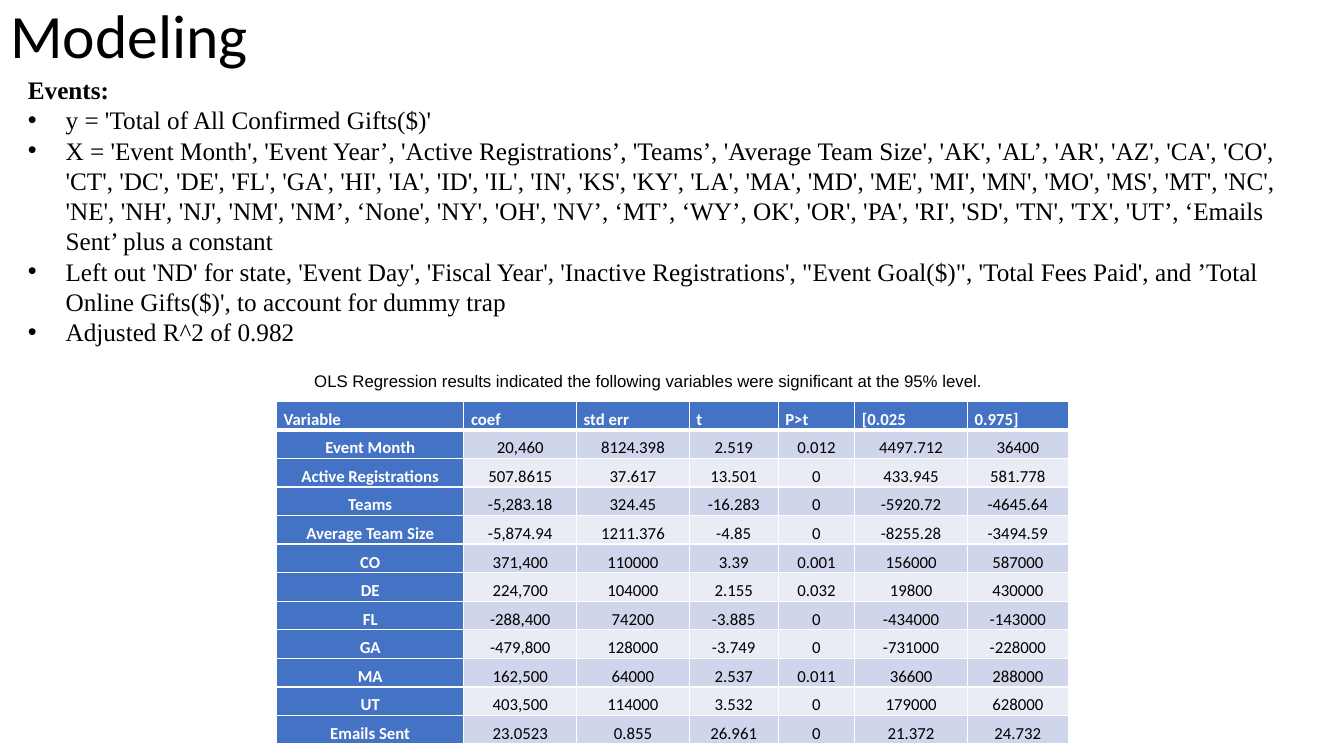
from lxml import etree
from pptx import Presentation
from pptx import util as u
from pptx.dml.color import RGBColor
from pptx.enum import text
from pptx.oxml.ns import qn

EVENTS = [
    "Events:",
    "y = 'Total of All Confirmed Gifts($)'",
    "X = 'Event Month', 'Event Year’, 'Active Registrations’, 'Teams’, 'Average Team Size', "
    "'AK', 'AL’, 'AR', 'AZ', 'CA', 'CO', 'CT', 'DC', 'DE', 'FL', 'GA', 'HI', 'IA', 'ID', 'IL', "
    "'IN', 'KS', 'KY', 'LA', 'MA', 'MD', 'ME', 'MI', 'MN', 'MO', 'MS', 'MT', 'NC', 'NE', 'NH', "
    "'NJ', 'NM', 'NM’, ‘None', 'NY', 'OH', 'NV’, ‘MT’, ‘WY’, OK', 'OR', 'PA', 'RI', 'SD', 'TN', "
    "'TX', 'UT’, ‘Emails Sent’ plus a constant",
    "Left out 'ND' for state, 'Event Day', 'Fiscal Year', 'Inactive Registrations', "
    "\"Event Goal($)\", 'Total Fees Paid', and ’Total Online Gifts($)', to account for dummy trap",
    "Adjusted R^2 of 0.982",
]
CAPTION = "OLS Regression results indicated the following variables were significant at the 95% level."
COLUMN_WIDTHS = [4.72, 2.84, 2.84, 2.24, 1.93, 2.84, 2.54]
RESULTS = [
    ["Variable", "coef", "std err", "t", "P>t", "[0.025", "0.975]"],
    ["Event Month", "20,460", "8124.398", "2.519", "0.012", "4497.712", "36400"],
    ["Active Registrations", "507.8615", "37.617", "13.501", "0", "433.945", "581.778"],
    ["Teams", "-5,283.18", "324.45", "-16.283", "0", "-5920.72", "-4645.64"],
    ["Average Team Size", "-5,874.94", "1211.376", "-4.85", "0", "-8255.28", "-3494.59"],
    ["CO", "371,400", "110000", "3.39", "0.001", "156000", "587000"],
    ["DE", "224,700", "104000", "2.155", "0.032", "19800", "430000"],
    ["FL", "-288,400", "74200", "-3.885", "0", "-434000", "-143000"],
    ["GA", "-479,800", "128000", "-3.749", "0", "-731000", "-228000"],
    ["MA", "162,500", "64000", "2.537", "0.011", "36600", "288000"],
    ["UT", "403,500", "114000", "3.532", "0", "179000", "628000"],
    ["Emails Sent", "23.0523", "0.855", "26.961", "0", "21.372", "24.732"],
]


def color(hex_code):
    return RGBColor.from_string(hex_code)


class ModelingSlide:
    INK, WHITE, ACCENT = "000000", "FFFFFF", "4472C4"
    BANDS = ["E9EBF5", "CFD5EA"]
    HANGING = u.Cm(0.95)

    def __init__(self, slide):
        self.slide = slide

    def place(self, shape, left, top, width, height):
        shape.left, shape.top = u.Cm(left), u.Cm(top)
        shape.width, shape.height = u.Cm(width), u.Cm(height)

    def format(self, paragraph, font, size, ink=INK, bold=False, align=text.PP_ALIGN.LEFT):
        paragraph.alignment = align
        for run in paragraph.runs:
            run.font.name, run.font.size = font, u.Pt(size)
            run.font.bold, run.font.color.rgb = bold, color(ink)

    def title(self, words, *box):
        heading = self.slide.shapes.title
        self.place(heading, *box)
        frame = heading.text_frame
        frame.text = words
        frame.vertical_anchor = text.MSO_ANCHOR.TOP
        frame.auto_size = text.MSO_AUTO_SIZE.NONE
        frame.paragraphs[0].line_spacing = 0.9
        self.format(frame.paragraphs[0], "Calibri", 44)

    def bullets(self, lines, *box):
        """Fill the body: a bold heading line, then bulleted lines."""
        body = self.slide.placeholders[1]
        self.place(body, *box)
        frame = body.text_frame
        frame.text = "\n".join(lines)
        frame.auto_size = text.MSO_AUTO_SIZE.NONE
        for index, paragraph in enumerate(frame.paragraphs):
            self.format(paragraph, "Times New Roman", 18, bold=index == 0)
            paragraph.space_before = u.Pt(0)
            props = paragraph._p.get_or_add_pPr()
            indent = self.HANGING if index else 0
            props.set("marL", str(indent))
            props.set("indent", str(-indent))
            if index:
                etree.SubElement(props, qn("a:buFont"), typeface="Arial")
                etree.SubElement(props, qn("a:buChar"), char="•")
            else:
                etree.SubElement(props, qn("a:buNone"))

    def caption(self, words, *box):
        note = self.slide.shapes.add_textbox(0, 0, 0, 0)
        self.place(note, *box)
        frame = note.text_frame
        frame.word_wrap = True
        frame.vertical_anchor = text.MSO_ANCHOR.MIDDLE
        frame.text = words
        self.format(frame.paragraphs[0], "Arial", 12)

    def borders(self, cell, header):
        props = cell._tc.get_or_add_tcPr()
        for side in ("lnL", "lnR", "lnT", "lnB"):
            width = u.Pt(3 if header and side == "lnB" else 1)
            line = etree.SubElement(props, qn(f"a:{side}"), w=str(width))
            fill = etree.SubElement(line, qn("a:solidFill"))
            etree.SubElement(fill, qn("a:srgbClr"), val=self.WHITE)

    def cell(self, cell, words, row, column):
        header = row == 0
        label = header or column == 0
        self.borders(cell, header)
        cell.fill.solid()
        cell.fill.fore_color.rgb = color(self.ACCENT if label else self.BANDS[row % 2])
        cell.margin_left = cell.margin_right = u.Cm(0.18)
        cell.margin_top = cell.margin_bottom = 0
        cell.vertical_anchor = text.MSO_ANCHOR.BOTTOM
        cell.text = words
        paragraph = cell.text_frame.paragraphs[0]
        paragraph.line_spacing = 1.07
        self.format(paragraph, "Calibri", 12, self.WHITE if label else self.INK, label,
                    text.PP_ALIGN.LEFT if header else text.PP_ALIGN.CENTER)

    def table(self, rows, widths, left, top, row_height):
        table = self.slide.shapes.add_table(
            len(rows), len(widths), u.Cm(left), u.Cm(top),
            u.Cm(sum(widths)), u.Cm(row_height * len(rows))).table
        table.first_col = True
        for column, width in zip(table.columns, widths):
            column.width = u.Cm(width)
        for r, values in enumerate(rows):
            table.rows[r].height = u.Cm(row_height)
            for c, words in enumerate(values):
                self.cell(table.cell(r, c), words, r, c)


def main():
    deck = Presentation()
    deck.slide_width, deck.slide_height = u.Cm(33.87), u.Cm(19.05)
    modeling = ModelingSlide(deck.slides.add_slide(deck.slide_layouts[1]))
    modeling.title("Modeling", 0, 0, 34.77, 2.06)
    modeling.bullets(EVENTS, 0.45, 1.75, 32.97, 7.19)
    modeling.table(RESULTS, COLUMN_WIDTHS, 6.97, 10.11, 0.72)
    modeling.caption(CAPTION, 7.67, 9.17, 18.54, 0.84)
    deck.save("out.pptx")


if __name__ == "__main__":
    main()
